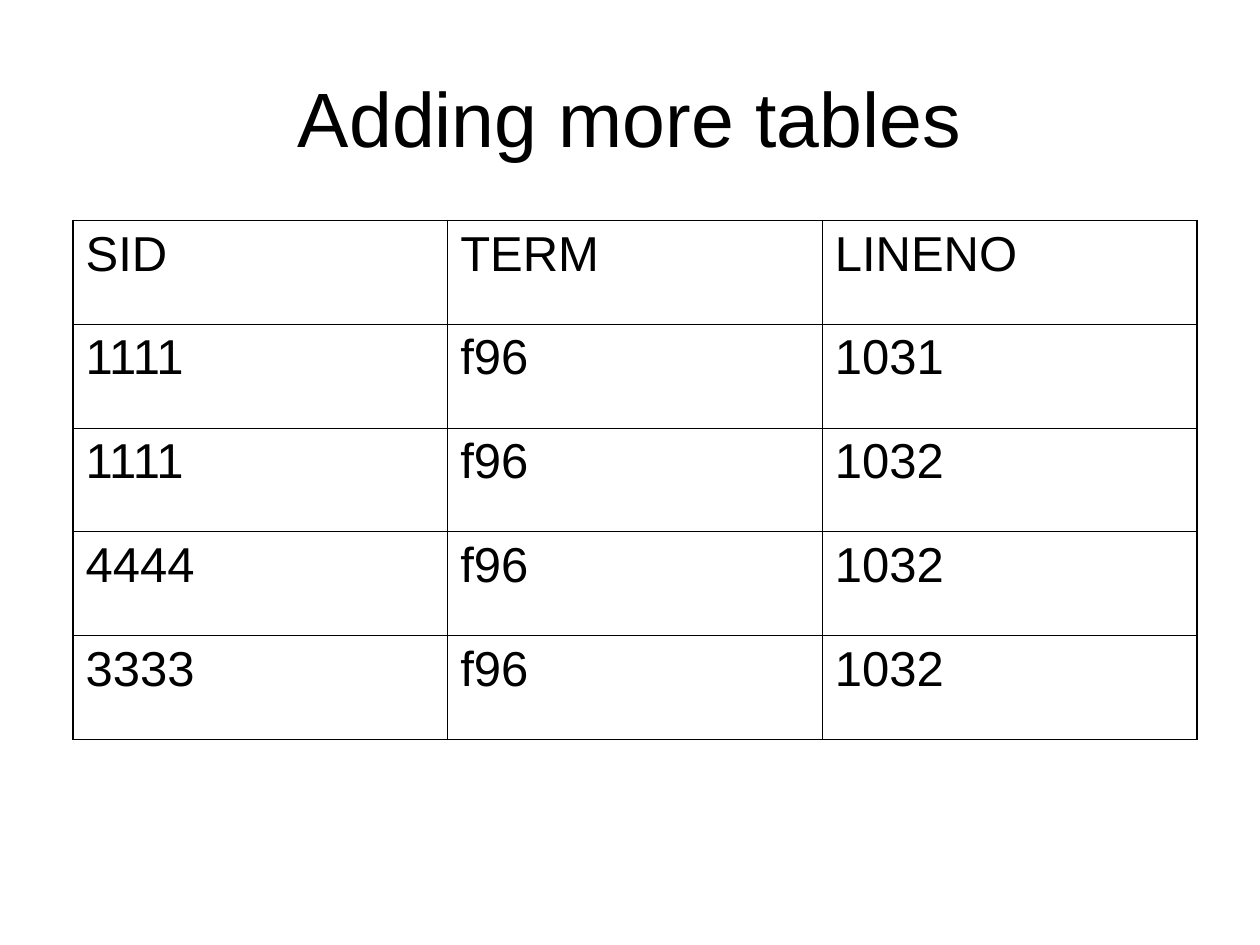
from lxml.etree import SubElement
from pptx import Presentation
from pptx.dml.color import RGBColor
from pptx.enum.text import MSO_ANCHOR, PP_ALIGN
from pptx.oxml.ns import qn
from pptx.util import Inches, Pt

BLACK = RGBColor(0, 0, 0)
FONT = "Arial"
OUTER_LINE, INNER_LINE = Pt(1.08), Pt(0.45)

ROWS = [
    ("SID", "TERM", "LINENO"),
    ("1111", "f96", "1031"),
    ("1111", "f96", "1032"),
    ("4444", "f96", "1032"),
    ("3333", "f96", "1032"),
]


def write_text(frame, text, size, align=PP_ALIGN.LEFT, space_before=0):
    para = frame.paragraphs[0]
    para.alignment = align
    para.space_before = Pt(space_before)
    span = para.add_run()
    span.text = text
    span.font.name = FONT
    span.font.size = Pt(size)
    span.font.color.rgb = BLACK


def add_title(page, text, left, top, width, height):
    frame = page.shapes.add_textbox(left, top, width, height).text_frame
    frame.word_wrap = True
    frame.vertical_anchor = MSO_ANCHOR.MIDDLE
    write_text(frame, text, size=44, align=PP_ALIGN.CENTER)


def set_borders(cell, outer_sides):
    """Draw all four sides, heavier on those at the table's edge."""
    properties = cell._tc.get_or_add_tcPr()
    for side in "LRTB":
        width = OUTER_LINE if side in outer_sides else INNER_LINE
        line = SubElement(properties, qn(f"a:ln{side}"), w=str(int(width)))
        fill = SubElement(line, qn("a:solidFill"))
        SubElement(fill, qn("a:srgbClr"), val=str(BLACK))


def add_grid(page, rows, left, top, width, height):
    last_row, last_column = len(rows) - 1, len(rows[0]) - 1
    table = page.shapes.add_table(
        len(rows), len(rows[0]), left, top, width, height).table
    table.first_row = table.horz_banding = False
    for row, values in enumerate(rows):
        for column, value in enumerate(values):
            cell = table.cell(row, column)
            edges = {"L": column == 0, "R": column == last_column,
                     "T": row == 0, "B": row == last_row}
            set_borders(cell, [side for side, outer in edges.items() if outer])
            cell.fill.background()
            write_text(cell.text_frame, value, size=28, space_before=7)


def main():
    deck = Presentation()
    deck.slide_width, deck.slide_height = Inches(10), Inches(7.5)
    page = deck.slides.add_slide(deck.slide_layouts[6])
    wide, high = deck.slide_width, deck.slide_height
    add_title(page, "Adding more tables",
              int(wide * 0.05), int(high * 0.04), int(wide * 0.9), Inches(1.25))
    add_grid(page, ROWS, Inches(0.58), Inches(1.75), Inches(8.92), Inches(4.12))
    deck.save("out.pptx")


if __name__ == "__main__":
    main()
